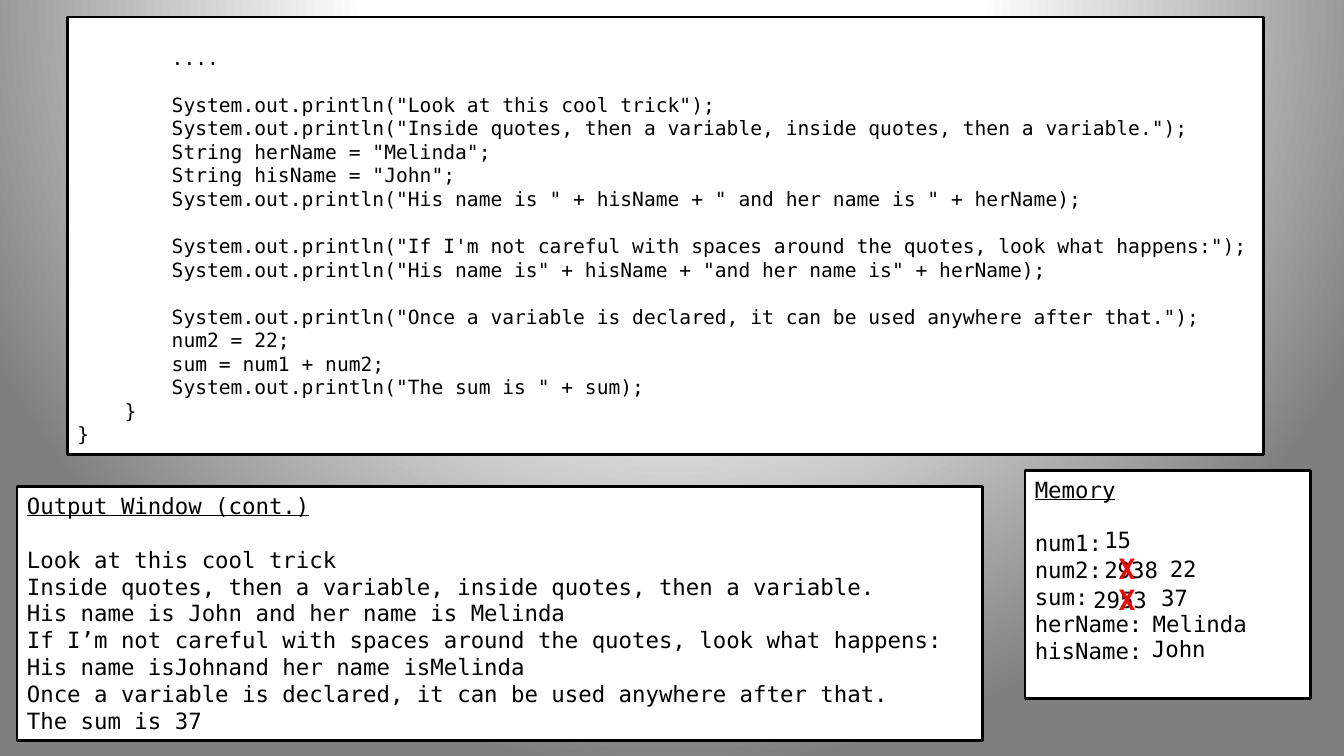
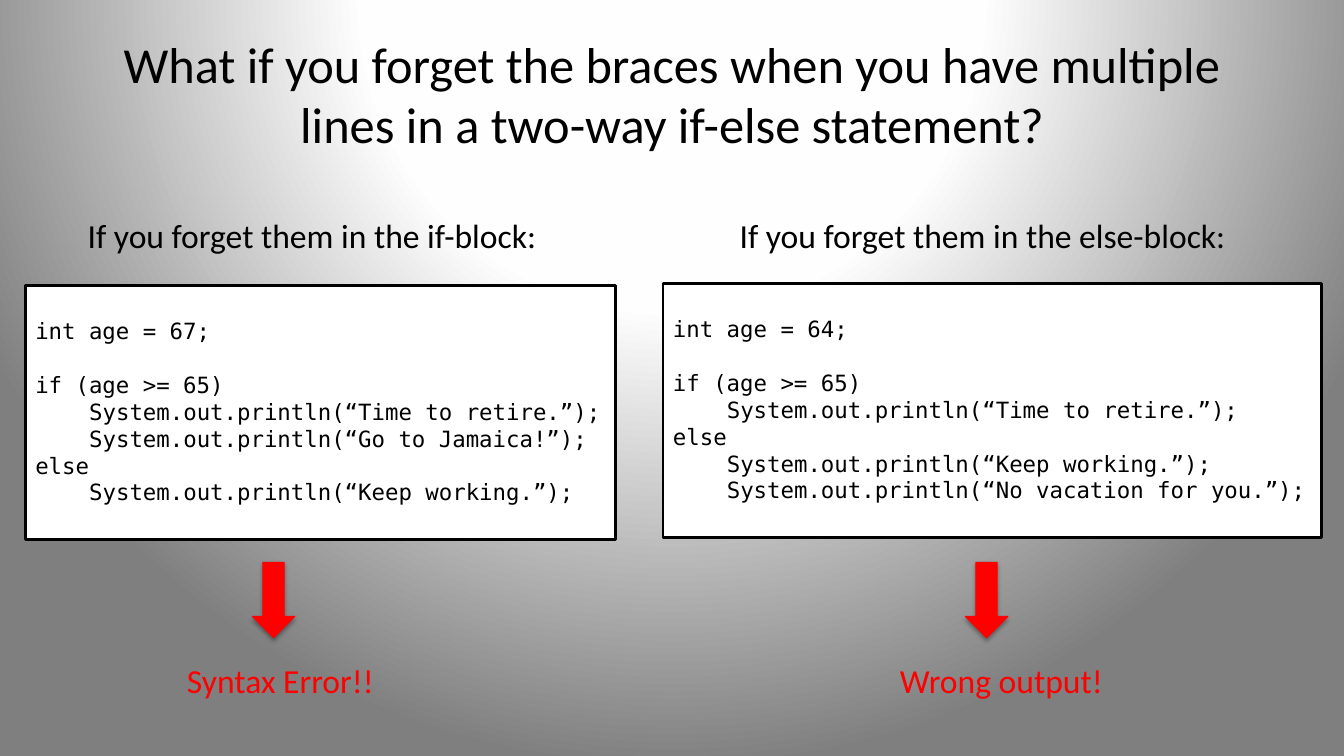
from pptx import Presentation
from pptx.dml.color import RGBColor
from pptx.enum.shapes import MSO_SHAPE
from pptx.enum.text import MSO_ANCHOR, MSO_AUTO_SIZE, PP_ALIGN
from pptx.oxml import parse_xml
from pptx.oxml.ns import nsdecls
from pptx.util import Cm, Pt

BLACK = RGBColor(0x00, 0x00, 0x00)
WHITE = RGBColor(0xFF, 0xFF, 0xFF)
RED = RGBColor(0xFF, 0x00, 0x00)
BACKDROP = ((0, "FFFFFF"), (40, "FEFEFE"), (100, "7F7F7F"))
SANS = "Calibri"
MONO = "DejaVu Sans Mono"
LINE_HEIGHT = 1.2   # blank line, as a multiple of the text size
CHAR_WIDTH = 0.602  # monospaced character, as a multiple of the text size
INSET_X, INSET_Y = Cm(0.25), Cm(0.13)

TRICK_CODE = """
        ....

        System.out.println("Look at this cool trick");
        System.out.println("Inside quotes, then a variable, inside quotes, then a variable.");
        String herName = "Melinda";
        String hisName = "John";
        System.out.println("His name is " + hisName + " and her name is " + herName);

        System.out.println("If I'm not careful with spaces around the quotes, look what happens:");
        System.out.println("His name is" + hisName + "and her name is" + herName);

        System.out.println("Once a variable is declared, it can be used anywhere after that.");
        num2 = 22;
        sum = num1 + num2;
        System.out.println("The sum is " + sum);
    }
}"""

OUTPUT = """Output Window (cont.)

Look at this cool trick
Inside quotes, then a variable, inside quotes, then a variable.
His name is John and her name is Melinda
If I’m not careful with spaces around the quotes, look what happens:
His name isJohnand her name isMelinda
Once a variable is declared, it can be used anywhere after that.
The sum is 37"""

MEMORY = """Memory

num1:
num2:
sum:
herName:
hisName:"""

# Text and offset in the memory box, in cm
MEMORY_VALUES = (
    ("15", 1.75, 1.27), ("2938", 1.75, 2.03), ("2953", 1.47, 2.77),
    ("Melinda", 2.97, 3.38), ("John", 2.95, 4.01),
    ("22", 3.4, 2.01), ("37", 3.18, 2.74),
)
CROSSES = ((2.11, 1.9), (2.11, 2.69))

IF_CODE = """
int age = 67;

if (age >= 65)
    System.out.println(“Time to retire.”);
    System.out.println(“Go to Jamaica!”);
else
    System.out.println(“Keep working.”);"""

ELSE_CODE = """
int age = 64;

if (age >= 65)
    System.out.println(“Time to retire.”);
else
    System.out.println(“Keep working.”);
    System.out.println(“No vacation for you.”);"""


def write(tf, text, size=16, font=MONO, color=BLACK, bold=False,
          align=PP_ALIGN.LEFT, anchor=MSO_ANCHOR.TOP, underline_first=False):
    """Write lines; blank lines become spacing, leading spaces an indent."""
    tf.word_wrap = True
    tf.auto_size = MSO_AUTO_SIZE.NONE
    tf.vertical_anchor = anchor
    tf.margin_left, tf.margin_right = INSET_X, 0
    tf.margin_top = tf.margin_bottom = INSET_Y
    gap, started = 0, False
    for line in text.split("\n"):
        words = line.lstrip()
        if not words:
            gap += size * LINE_HEIGHT
            continue
        p = tf.add_paragraph() if started else tf.paragraphs[0]
        p.alignment = align
        if gap and started:
            p.space_before = Pt(gap)
        elif gap:
            tf.margin_top = INSET_Y + Pt(gap)
        indent = len(line) - len(words)
        if indent:
            p_pr = p._p.get_or_add_pPr()
            p_pr.set("marL", str(Pt(indent * size * CHAR_WIDTH)))
            p_pr.set("indent", "0")
        r = p.add_run()
        r.text = words
        r.font.name, r.font.size = font, Pt(size)
        r.font.bold, r.font.color.rgb = bold, color
        if underline_first and not started:
            r.font.underline = True
        gap, started = 0, True


def add_label(s, text, x, y, w, h, **fmt):
    sp = s.shapes.add_textbox(Cm(x), Cm(y), Cm(w), Cm(h))
    write(sp.text_frame, text, **fmt)


def add_panel(s, text, x, y, w, h, **fmt):
    """White box with a black outline, for code and output."""
    sp = s.shapes.add_shape(MSO_SHAPE.RECTANGLE, Cm(x), Cm(y), Cm(w), Cm(h))
    sp.shadow.inherit = False
    sp.fill.solid()
    sp.fill.fore_color.rgb = WHITE
    sp.line.color.rgb, sp.line.width = BLACK, Pt(2)
    write(sp.text_frame, text, **fmt)


def add_down_arrow(s, x, y):
    sp = s.shapes.add_shape(MSO_SHAPE.DOWN_ARROW, Cm(x), Cm(y), Cm(1.07), Cm(1.9))
    sp.fill.solid()
    sp.fill.fore_color.rgb = RED
    sp.line.color.rgb, sp.line.width = RED, Pt(0.75)
    # Soft shadow straight below
    sp._element.spPr.append(parse_xml(
        f'<a:effectLst {nsdecls("a")}><a:outerShdw blurRad="{Pt(3.1)}" '
        f'dist="{Pt(1.8)}" dir="5400000" rotWithShape="0"><a:srgbClr val="000000">'
        '<a:alpha val="35000"/></a:srgbClr></a:outerShdw></a:effectLst>'))


def set_backdrop(master):
    """Give every slide the radial grey gradient."""
    master.background.fill.solid()
    solid = master.element.xpath("p:cSld/p:bg/p:bgPr/a:solidFill")[0]
    stops = "".join(f'<a:gs pos="{pos * 1000}"><a:srgbClr val="{rgb}"/></a:gs>'
                    for pos, rgb in BACKDROP)
    solid.getparent().replace(solid, parse_xml(
        f'<a:gradFill {nsdecls("a")} rotWithShape="1"><a:gsLst>{stops}</a:gsLst>'
        '<a:path path="circle"><a:fillToRect l="50000" t="-80000" r="50000" '
        'b="180000"/></a:path></a:gradFill>'))


def add_memory(s, x, y, w, h):
    """Variable names, their values and the crossed-out old values."""
    add_panel(s, MEMORY, x, y, w, h, underline_first=True)
    for text, dx, dy in MEMORY_VALUES:
        add_label(s, text, x + dx, y + dy, 0.6 + 0.35 * len(text), 0.94)
    for dx, dy in CROSSES:
        add_label(s, "X", x + dx, y + dy, 0.94, 1.12, size=20, color=RED, bold=True)


def add_case(s, x, y, w, heading, heading_dx, code, code_dy, verdict, arrow_dx):
    """One column: heading, code, arrow and what goes wrong."""
    add_panel(s, code, x, y + code_dy, w, 6.4)
    add_label(s, heading, x + heading_dx, y, 13.2, 1.27, size=24, font=SANS)
    add_down_arrow(s, x + arrow_dx, y + 8.89)
    add_label(s, verdict, x + arrow_dx - 1.9, y + 11.23, 6, 1.27,
              size=24, font=SANS, color=RED)


def build_trick_slide(prs):
    s = prs.slides.add_slide(prs.slide_layouts[6])
    add_panel(s, TRICK_CODE, 1.7, 0.43, 30.15, 11.02, size=14)
    add_panel(s, OUTPUT, 0.43, 12.27, 24.33, 6.4, underline_first=True)
    add_memory(s, 25.83, 11.86, 7.19, 5.74)


def build_braces_slide(prs):
    s = prs.slides.add_slide(prs.slide_layouts[5])
    title = s.shapes.title
    title.left, title.top, title.width, title.height = Cm(1.7), Cm(0.76), Cm(30.48), Cm(3.18)
    write(title.text_frame,
          "What if you forget the braces when you have multiple lines "
          "in a two-way if-else statement?",
          size=36, font=SANS, align=PP_ALIGN.CENTER, anchor=MSO_ANCHOR.MIDDLE)
    title.text_frame.margin_right = INSET_X
    add_case(s, 0.64, 5.28, 14.88, "If you forget them in the if-block:", 1.32,
             IF_CODE, 1.91, "Syntax Error!!", 5.72)
    add_case(s, 16.71, 5.28, 16.59, "If you forget them in the else-block:", 1.68,
             ELSE_CODE, 1.86, "Wrong output!", 7.62)


def main():
    prs = Presentation()
    prs.slide_width, prs.slide_height = Cm(33.87), Cm(19.05)
    set_backdrop(prs.slide_master)
    build_trick_slide(prs)
    build_braces_slide(prs)
    prs.save("out.pptx")


if __name__ == "__main__":
    main()
